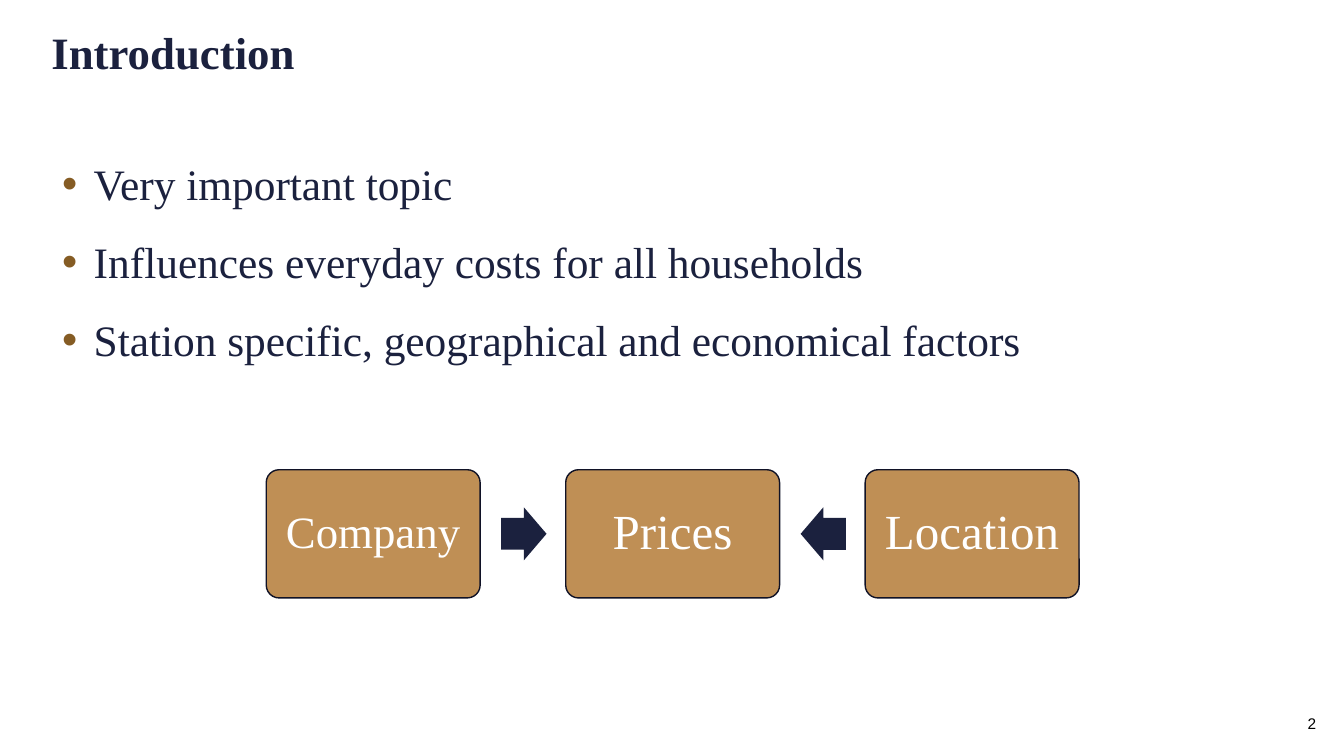
from dataclasses import dataclass

from lxml import etree
from pptx import Presentation
from pptx.dml.color import RGBColor
from pptx.enum.shapes import MSO_SHAPE
from pptx.enum.text import MSO_ANCHOR, PP_ALIGN
from pptx.oxml.ns import qn
from pptx.util import Pt

RECT = MSO_SHAPE.RECTANGLE
ROUNDED = MSO_SHAPE.ROUNDED_RECTANGLE
ARROW = MSO_SHAPE.RIGHT_ARROW
TOP, MIDDLE = MSO_ANCHOR.TOP, MSO_ANCHOR.MIDDLE
LEFT, CENTER = PP_ALIGN.LEFT, PP_ALIGN.CENTER


@dataclass(frozen=True)
class Theme:
    navy: str = "1B213E"
    outline: str = "101226"
    tan: str = "BF8F55"
    bullet: str = "855C24"
    white: str = "FFFFFF"
    black: str = "000000"
    serif: str = "Times New Roman"
    sans: str = "Arial"
    title: int = 32
    body: int = 31
    box_small: int = 32
    box_large: int = 35
    number: int = 11


THEME = Theme()


def set_frame(tf, anchor, inset_x, inset_y):
    tf.word_wrap = True
    tf.vertical_anchor = anchor
    tf.margin_left = tf.margin_right = Pt(inset_x)
    tf.margin_top = tf.margin_bottom = Pt(inset_y)


def add_run(p, text, size, color, font=THEME.serif, bold=False):
    r = p.add_run()
    r.text = text
    r.font.name = font
    r.font.size = Pt(size)
    r.font.bold = bold
    r.font.color.rgb = RGBColor.from_string(color)


def add_bullet(p, indent):
    pPr = p._p.get_or_add_pPr()
    pPr.set("marL", str(Pt(indent)))
    pPr.set("indent", str(-Pt(indent)))
    color = etree.SubElement(pPr, qn("a:buClr"))
    etree.SubElement(color, qn("a:srgbClr"), val=THEME.bullet)
    etree.SubElement(pPr, qn("a:buFont"), typeface=THEME.sans)
    etree.SubElement(pPr, qn("a:buChar"), char="•")


def add_text(s, x, y, w, h, inset_x=0, inset_y=0):
    tf = s.shapes.add_textbox(Pt(x), Pt(y), Pt(w), Pt(h)).text_frame
    set_frame(tf, TOP, inset_x, inset_y)
    return tf


def add_bullets(s, x, y, w, h, lines):
    tf = add_text(s, x, y, w, h, 7.2, 3.6)
    for i, line in enumerate(lines):
        p = tf.add_paragraph() if i else tf.paragraphs[0]
        p.alignment = LEFT
        p.line_spacing = 0.9
        p.space_before, p.space_after = Pt(10), Pt(12)
        add_bullet(p, 22.5)
        add_run(p, line, THEME.body, THEME.navy)


def add_shape(s, kind, x, y, w, h, fill, line=None):
    sp = s.shapes.add_shape(kind, Pt(x), Pt(y), Pt(w), Pt(h))
    sp.shadow.inherit = False
    sp.fill.solid()
    sp.fill.fore_color.rgb = RGBColor.from_string(fill)
    if line:
        sp.line.color.rgb = RGBColor.from_string(line)
        sp.line.width = Pt(1)
    else:
        sp.line.fill.background()
    return sp


def add_label(sp, text, size, color, font=THEME.serif, inset=0):
    set_frame(sp.text_frame, MIDDLE, inset, inset)
    p = sp.text_frame.paragraphs[0]
    p.alignment = CENTER
    add_run(p, text, size, color, font)
    return p


def add_box(s, x, y, w, h, text, size):
    sp = add_shape(s, ROUNDED, x, y, w, h, THEME.tan, THEME.outline)
    sp.adjustments[0] = 0.1
    add_label(sp, text, size, THEME.white, inset=9).line_spacing = 0.9


def add_arrow(s, x, y, w, h, rotation):
    sp = add_shape(s, ARROW, x, y, w, h, THEME.navy)
    sp.adjustments[0], sp.adjustments[1] = 0.6, 0.5
    sp.rotation = rotation


def main():
    prs = Presentation()
    prs.slide_width, prs.slide_height = Pt(960), Pt(540)
    s = prs.slides.add_slide(prs.slide_layouts[6])

    # Page number
    number = add_shape(s, RECT, 920.9, 500.4, 32.4, 33.1, THEME.white)
    add_label(number, "2", THEME.number, THEME.black, THEME.sans)

    # Title
    title = add_text(s, 36.7, 17.3, 822, 79)
    add_run(title.paragraphs[0], "Introduction", THEME.title, THEME.navy, bold=True)

    # Key points
    add_bullets(s, 37.4, 113, 780.5, 246, [
        "Very important topic",
        "Influences everyday costs for all households",
        "Station specific, geographical and economical factors",
    ])

    # Company and location both point to prices
    left, top, pitch = 190.2, 335.5, 213.9
    box_w, box_h, arrow_w, arrow_h = 152.8, 91.6, 32.4, 37.9
    boxes = [("Company", THEME.box_small), ("Prices", THEME.box_large),
             ("Location", THEME.box_large)]
    for i, (text, size) in enumerate(boxes):
        add_box(s, left + i * pitch, top, box_w, box_h, text, size)
    for i, rotation in enumerate((0, 180)):
        add_arrow(s, left + i * pitch + box_w + 15, top + (box_h - arrow_h) / 2,
                  arrow_w, arrow_h, rotation)

    prs.save("out.pptx")


if __name__ == "__main__":
    main()
